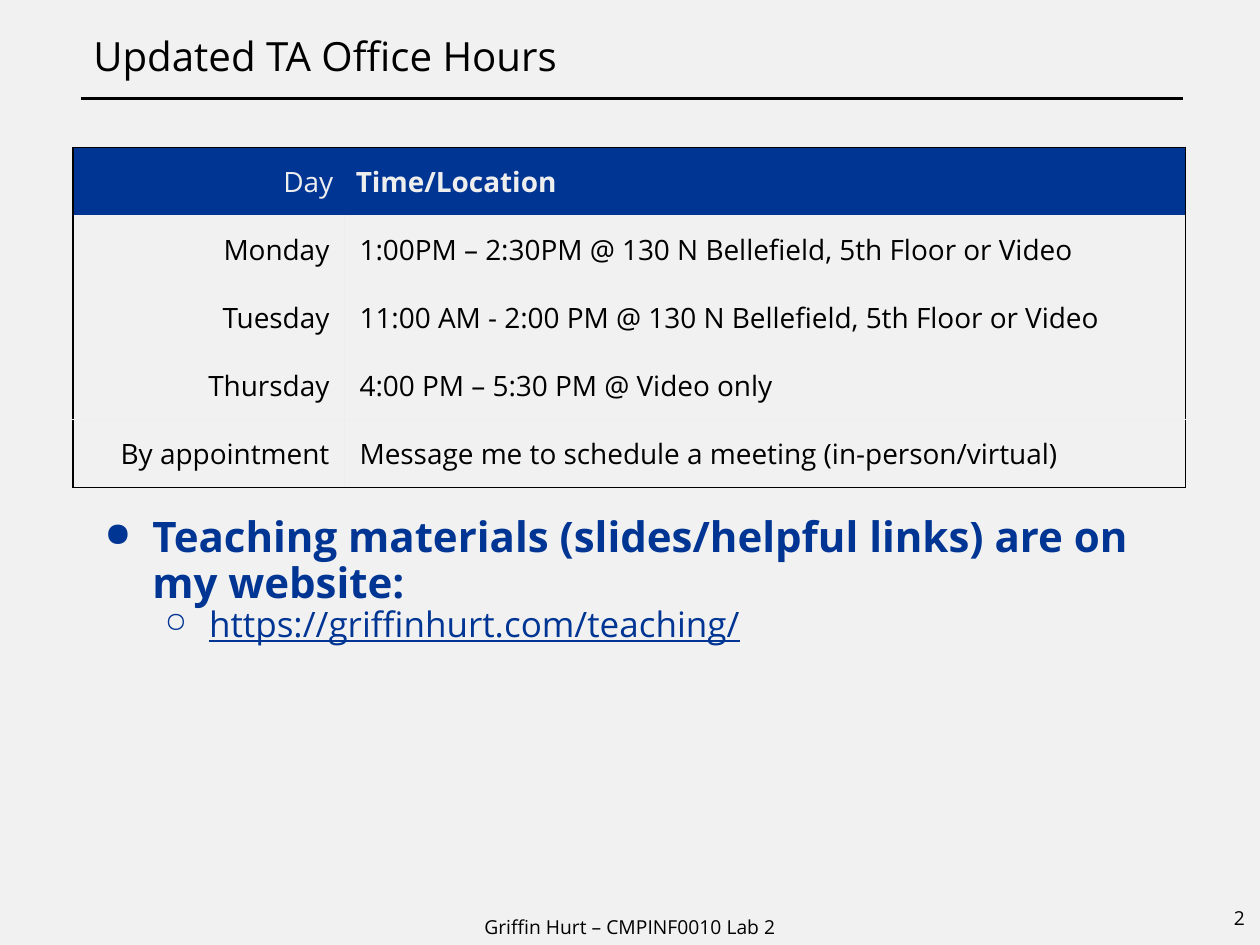
from pptx import Presentation
from pptx.dml.color import RGBColor
from pptx.enum.shapes import MSO_CONNECTOR
from pptx.enum.text import MSO_ANCHOR, PP_ALIGN
from pptx.oxml.xmlchemy import OxmlElement
from pptx.util import Inches, Pt

STRAIGHT = MSO_CONNECTOR.STRAIGHT
TOP, MIDDLE, BOTTOM = MSO_ANCHOR.TOP, MSO_ANCHOR.MIDDLE, MSO_ANCHOR.BOTTOM
LEFT, CENTER, RIGHT = PP_ALIGN.LEFT, PP_ALIGN.CENTER, PP_ALIGN.RIGHT

PAPER = RGBColor(0xF1, 0xF1, 0xF1)
BLACK = RGBColor(0x00, 0x00, 0x00)
BLUE = RGBColor(0x00, 0x35, 0x94)
PALE = RGBColor(0xEE, 0xEE, 0xEE)
FONT = "Open Sans"

HOURS = [
    ("Day", "Time/Location"),
    ("Monday", "1:00PM – 2:30PM @ 130 N Bellefield, 5th Floor or Video"),
    ("Tuesday", "11:00 AM - 2:00 PM @ 130 N Bellefield, 5th Floor or Video"),
    ("Thursday", "4:00 PM – 5:30 PM @ Video only"),
    ("By appointment", "Message me to schedule a meeting (in-person/virtual)"),
]
DAY_SHARE = 0.244
FIRST_RULED_ROW = 4


def style(paragraph, size, color, align=LEFT, bold=False, underline=False):
    """Align a paragraph and format its runs."""
    paragraph.alignment = align
    for run in paragraph.runs:
        font = run.font
        font.name, font.size, font.bold = FONT, Pt(size), bold
        font.color.rgb = color
        if underline:
            font.underline = True


def text_frame(slide, box, anchor, inset=(0.12, 0.12)):
    """Add a wrapping text box and return its frame."""
    frame = slide.shapes.add_textbox(*map(Inches, box)).text_frame
    frame.word_wrap = True
    frame.vertical_anchor = anchor
    frame.margin_left = frame.margin_right = Inches(inset[0])
    frame.margin_top = frame.margin_bottom = Inches(inset[1])
    return frame


def add_heading(slide, box):
    """Place the title with the rule just beneath it."""
    left, top, width, height = box
    frame = text_frame(slide, box, BOTTOM)
    title = frame.paragraphs[0]
    title.text = "Updated TA Office Hours"
    title.line_spacing = 0.9
    style(title, 23, BLACK)
    rule_top = Inches(top + height + 0.02)
    rule = slide.shapes.add_connector(
        STRAIGHT, Inches(left + 0.02), rule_top, Inches(left + width + 0.02), rule_top)
    rule.line.color.rgb = BLACK
    rule.line.width = Pt(1.5)
    rule._element.spPr.append(OxmlElement("a:effectLst"))


def set_borders(cell, colors):
    """Draw the left, right, top and bottom borders; None hides one."""
    properties = cell._tc.get_or_add_tcPr()
    for place, (side, color) in enumerate(zip("LRTB", colors)):
        edge = OxmlElement(f"a:ln{side}")
        edge.set("w", str(Pt(1)))
        fill = OxmlElement("a:noFill" if color is None else "a:solidFill")
        if color is not None:
            value = OxmlElement("a:srgbClr")
            value.set("val", str(color))
            fill.append(value)
        edge.append(fill)
        properties.insert(place, edge)


def border_colors(row, column):
    """Give black outer edges, pale dividers and none around the header."""
    divider = PALE if row else None

    def level(line):
        """Colour the horizontal border above the given row."""
        if line in (0, len(HOURS)):
            return BLACK
        return PALE if line >= FIRST_RULED_ROW else None

    sides = (BLACK, divider) if column == 0 else (divider, BLACK)
    return (*sides, level(row), level(row + 1))


def add_hours_table(slide, box):
    """Place the office hours table."""
    table = slide.shapes.add_table(len(HOURS), 2, *map(Inches, box)).table
    table.first_row = table.horz_banding = False
    for column, share in zip(table.columns, (DAY_SHARE, 1 - DAY_SHARE)):
        column.width = Inches(box[2] * share)
    for row, texts in enumerate(HOURS):
        header = row == 0
        for column, text in enumerate(texts):
            cell = table.cell(row, column)
            cell.text = text
            cell.vertical_anchor = MIDDLE
            cell.margin_left = cell.margin_right = Inches(0.09 if header else 0.12)
            cell.margin_top = cell.margin_bottom = Inches(0.05 if header else 0.06)
            if header:
                cell.fill.solid()
                cell.fill.fore_color.rgb = BLUE
            else:
                cell.fill.background()
            set_borders(cell, border_colors(row, column))
            style(cell.text_frame.paragraphs[0], 16, PALE if header else BLACK,
                  LEFT if column else RIGHT, bold=header and column == 1)


def add_bullet(paragraph, mark, left, hanging):
    """Give a paragraph a hanging bullet, smaller than its text."""
    properties = paragraph._p.get_or_add_pPr()
    properties.set("marL", str(Inches(left)))
    properties.set("indent", str(-Inches(hanging)))
    for tag, key, value in (("a:buSzPct", "val", "80000"), ("a:buChar", "char", mark)):
        element = OxmlElement(tag)
        element.set(key, value)
        properties.append(element)


def add_materials(slide, box):
    """Place the note on teaching materials and its address."""
    frame = text_frame(slide, box, TOP)
    note, address = frame.paragraphs[0], frame.add_paragraph()
    note.text = "Teaching materials (slides/helpful links) are on my website:"
    address.text = "https://griffinhurt.com/teaching/"
    address.level = 1
    add_bullet(note, "●", 0.46, 0.38)
    add_bullet(address, "○", 0.91, 0.35)
    note.line_spacing = address.line_spacing = 0.9
    style(note, 24, BLUE, bold=True)
    style(address, 20, BLUE, underline=True)


def add_footer(slide, course_box, number_box):
    """Place the course line and the page number."""
    course = text_frame(slide, course_box, BOTTOM, (0.1, 0.05))
    course.text = "Griffin Hurt – CMPINF0010 Lab 2"
    style(course.paragraphs[0], 11, BLACK, CENTER)
    number = text_frame(slide, number_box, BOTTOM)
    number.text = "2"
    style(number.paragraphs[0], 11, BLACK, RIGHT)


def main():
    """Build and save the slide."""
    deck = Presentation()
    deck.slide_width, deck.slide_height = Inches(10), Inches(7.5)
    slide = deck.slides.add_slide(deck.slide_layouts[6])
    slide.background.fill.solid()
    slide.background.fill.fore_color.rgb = PAPER
    add_heading(slide, (0.62, 0.04, 8.75, 0.72))
    add_hours_table(slide, (0.58, 1.17, 8.83, 2.7))
    add_materials(slide, (0.63, 3.98, 8.74, 2.93))
    add_footer(slide, (3.31, 7.1, 3.38, 0.4), (8.96, 7.04, 1.04, 0.43))
    deck.save("out.pptx")


if __name__ == "__main__":
    main()
